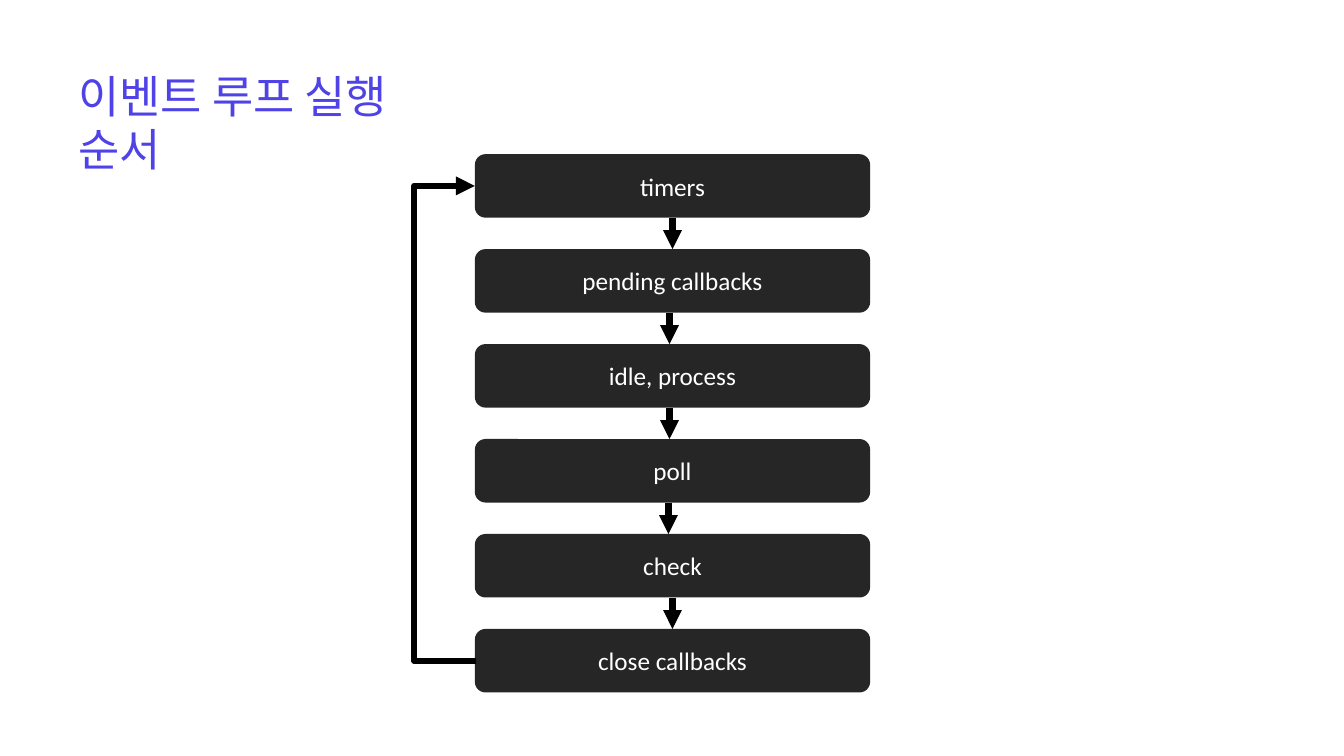
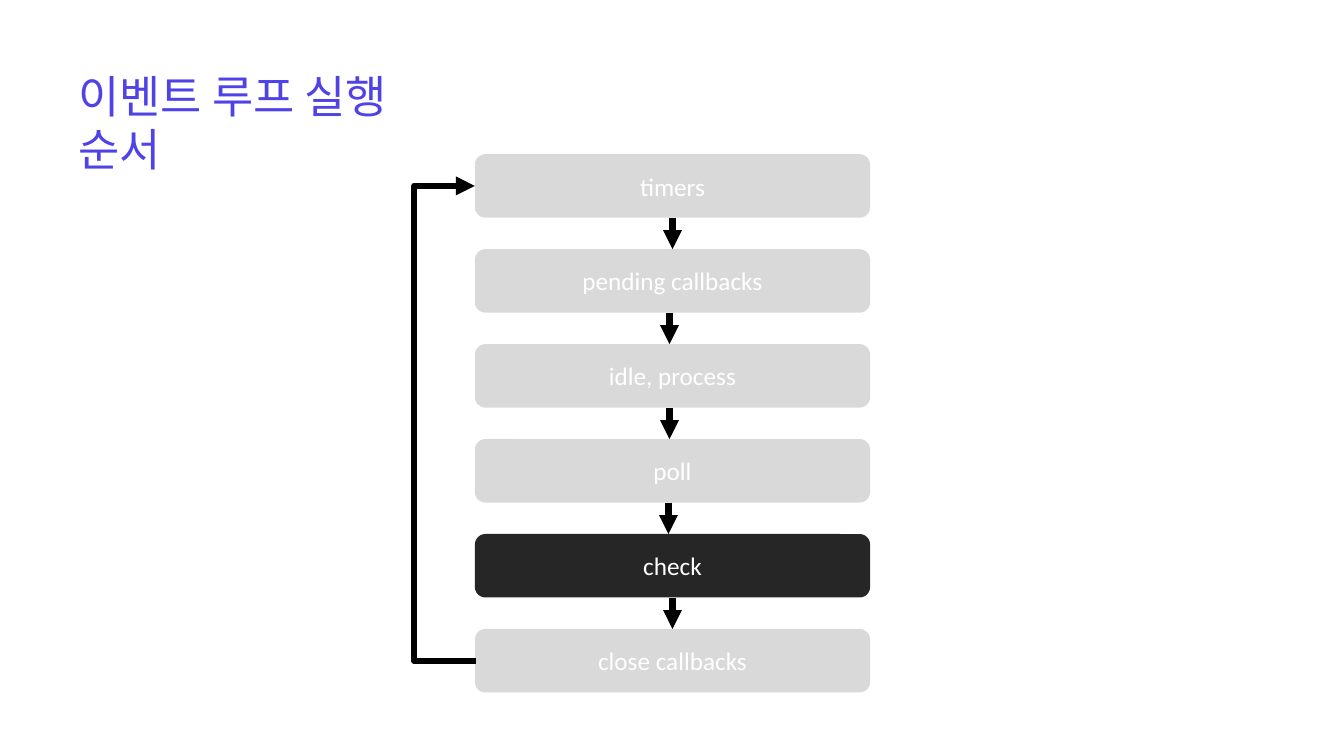
from lxml import etree
from pptx import Presentation
from pptx.dml.color import RGBColor
from pptx.enum.shapes import MSO_CONNECTOR, MSO_SHAPE
from pptx.enum.text import MSO_ANCHOR, PP_ALIGN
from pptx.oxml.ns import qn
from pptx.util import Inches, Pt

STRAIGHT, ELBOW = MSO_CONNECTOR.STRAIGHT, MSO_CONNECTOR.ELBOW
ROUNDED = MSO_SHAPE.ROUNDED_RECTANGLE
MIDDLE, CENTER = MSO_ANCHOR.MIDDLE, PP_ALIGN.CENTER

COLORS = {
    "title": "4F42E6",
    "active": "262626",
    "muted": "D9D9D9",
    "label": "FFFFFF",
    "arrow": "000000",
}
TITLE = "이벤트 루프 실행 순서"
PHASES = ["timers", "pending callbacks", "idle, process", "poll", "check", "close callbacks"]
ARROW_XS = [6.67, 6.64, 6.64, 6.63, 6.67]

BOX_LEFT, BOX_WIDTH, BOX_HEIGHT = 4.71, 3.92, 0.63
FIRST_TOP, LAST_TOP = 1.53, 6.24
PITCH = (LAST_TOP - FIRST_TOP) / (len(PHASES) - 1)
LOOP_START, LOOP_LEFT = 4.72, 4.1


def color(name):
    return RGBColor.from_string(COLORS[name])


def write(frame, text, font_name, size, color_name):
    frame.text = text
    font = frame.paragraphs[0].runs[0].font
    font.name = font_name
    font.size = Pt(size)
    font.color.rgb = color(color_name)


def add_title(page):
    box = page.shapes.add_textbox(Inches(0.68), Inches(0.63), Inches(4.01), Inches(0.64))
    box.text_frame.word_wrap = True
    write(box.text_frame, TITLE, "Arial", 32, "title")


def add_phase(page, name, top, fill):
    box = page.shapes.add_shape(
        ROUNDED, Inches(BOX_LEFT), Inches(top), Inches(BOX_WIDTH), Inches(BOX_HEIGHT)
    )
    box.shadow.inherit = False
    box.fill.solid()
    box.fill.fore_color.rgb = color(fill)
    box.line.fill.background()
    box.text_frame.vertical_anchor = MIDDLE
    write(box.text_frame, name, "Calibri", 18, "label")
    box.text_frame.paragraphs[0].alignment = CENTER


def add_arrow(page, kind, start, end):
    arrow = page.shapes.add_connector(kind, *map(Inches, start + end))
    arrow.line.color.rgb = color("arrow")
    arrow.line.width = Pt(4.5)
    etree.SubElement(arrow.line._get_or_add_ln(), qn("a:tailEnd"), type="triangle")
    etree.SubElement(arrow.element.spPr, qn("a:effectLst"))
    return arrow


def add_loop(page):
    """Lead from the last phase round the left side back to the first."""
    middle = BOX_HEIGHT / 2
    loop = add_arrow(
        page, ELBOW, (LOOP_START, LAST_TOP + middle), (BOX_LEFT, FIRST_TOP + middle)
    )
    bend = round((LOOP_START - LOOP_LEFT) / (LOOP_START - BOX_LEFT) * 100000)
    guides = loop.element.spPr.find(qn("a:prstGeom")).find(qn("a:avLst"))
    etree.SubElement(guides, qn("a:gd"), name="adj1", fmla=f"val {bend}")


def add_event_loop(deck, active_phases):
    page = deck.slides.add_slide(deck.slide_layouts[6])
    add_title(page)
    tops = [FIRST_TOP + index * PITCH for index in range(len(PHASES))]
    for name, top in zip(PHASES, tops):
        add_phase(page, name, top, "active" if name in active_phases else "muted")
    for x, top, next_top in zip(ARROW_XS, tops, tops[1:]):
        add_arrow(page, STRAIGHT, (x, top + BOX_HEIGHT), (x, next_top))
    add_loop(page)


def main():
    deck = Presentation()
    deck.slide_width, deck.slide_height = Inches(13.33), Inches(7.5)
    for active_phases in (PHASES, ["check"]):
        add_event_loop(deck, active_phases)
    deck.save("out.pptx")


if __name__ == "__main__":
    main()
